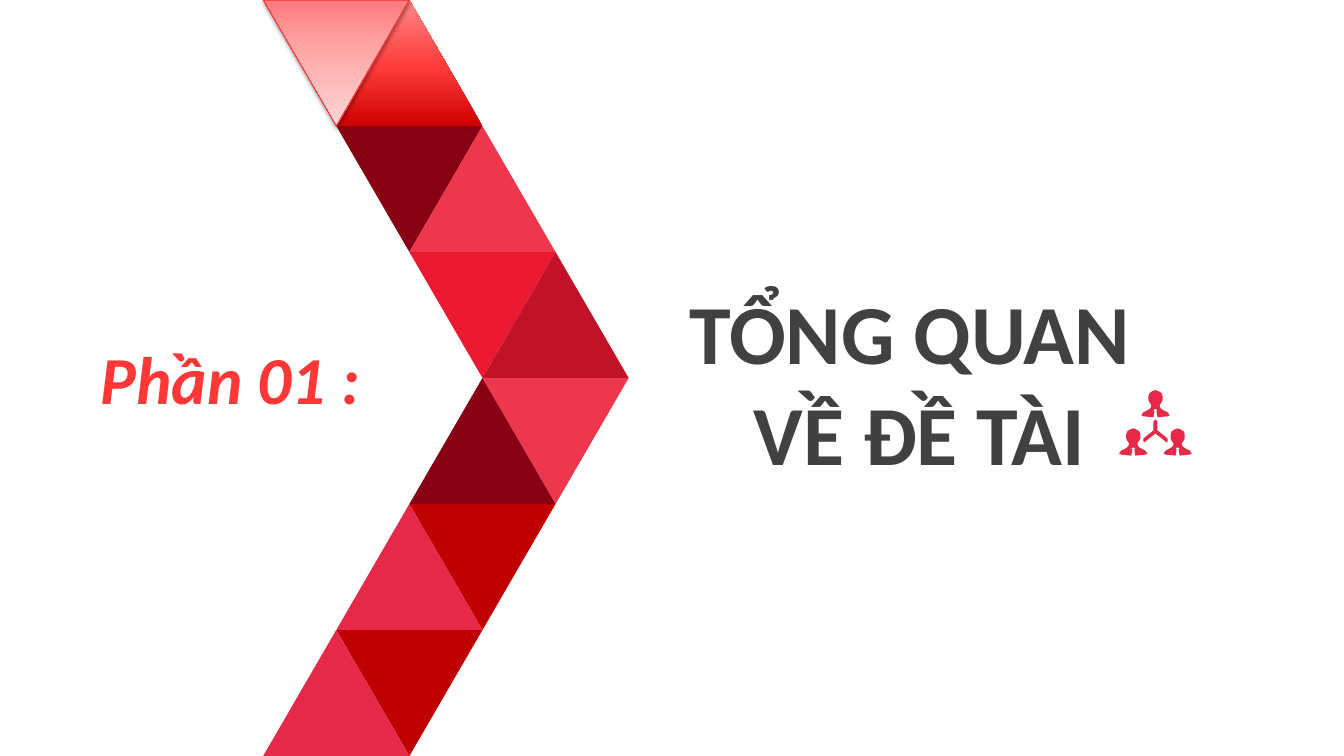
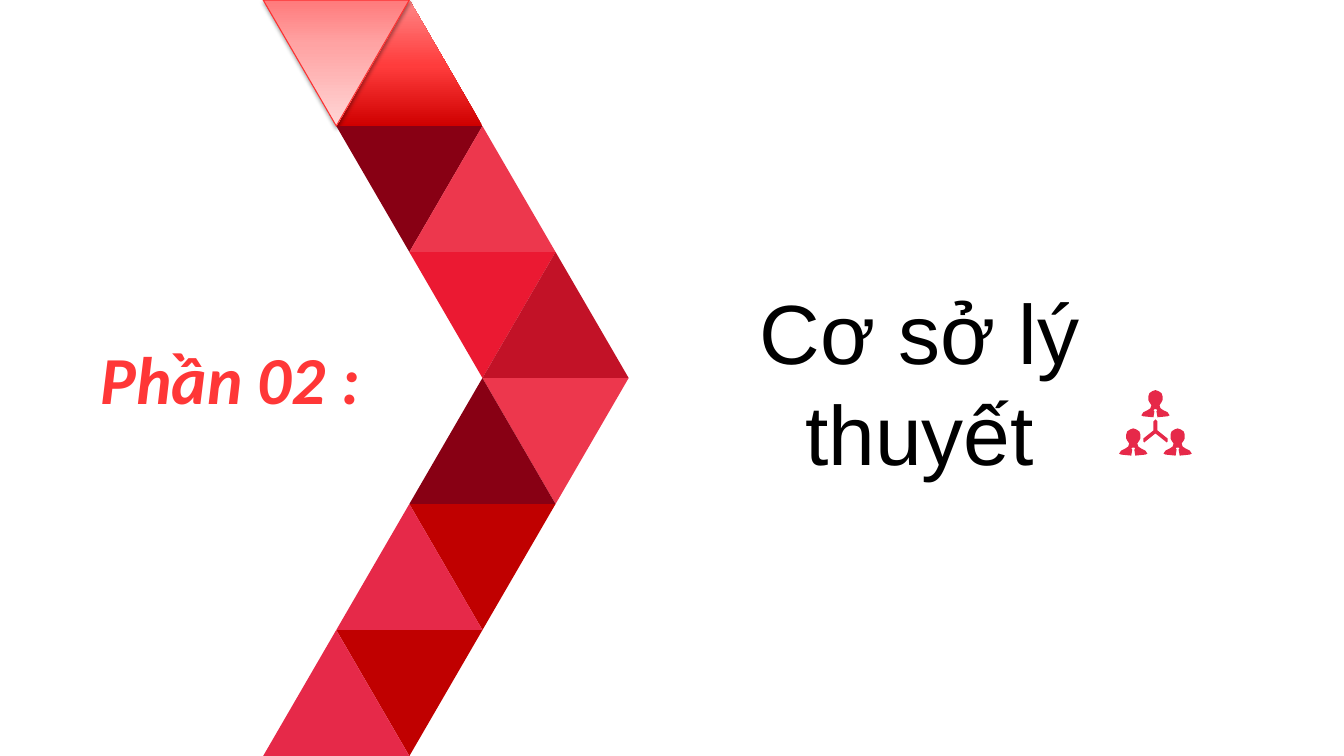
from dataclasses import dataclass

from lxml.etree import SubElement
from pptx import Presentation
from pptx.dml.color import RGBColor
from pptx.enum.shapes import MSO_SHAPE as Shape
from pptx.enum.text import MSO_ANCHOR as Anchor, MSO_AUTO_SIZE as AutoSize, PP_ALIGN as Align
from pptx.oxml.ns import qn
from pptx.util import Inches, Pt

CRIMSON = RGBColor(0xE6, 0x29, 0x49)
MAROON = RGBColor(0x88, 0x00, 0x14)
ROSE = RGBColor(0xED, 0x37, 0x4D)
SCARLET = RGBColor(0xEB, 0x19, 0x32)
RUBY = RGBColor(0xC2, 0x12, 0x27)
DARK_RED = RGBColor(0xC0, 0x00, 0x00)
EDGE_RED = RGBColor(0xFD, 0x30, 0x30)
LABEL_RED = RGBColor(0xFF, 0x37, 0x37)
CHARCOAL = RGBColor(0x41, 0x41, 0x41)
BLACK = RGBColor(0x00, 0x00, 0x00)

# Gradient stops: position in percent, colour
Stops = tuple[tuple[int, RGBColor], ...]
RED_FADE: Stops = (
    (0, RGBColor(0xCF, 0x00, 0x00)),
    (48, RGBColor(0xFF, 0x3C, 0x3C)),
    (100, RGBColor(0xFF, 0x87, 0x87)),
)
PINK_FADE: Stops = (
    (0, RGBColor(0xFF, 0x7A, 0x7B)),
    (35, RGBColor(0xFF, 0xA3, 0xA3)),
    (100, RGBColor(0xFF, 0xD6, 0xD6)),
)

TILE_WIDTH, TILE_HEIGHT = 1.45, 1.25
CHEVRON_LEFT = 2.61

Points = list[tuple[float, float]]
# Right halves of symmetric outlines, measured from the axis and the top
PERSON_HALF: Points = [
    (0, 0), (0.03, 0.01), (0.06, 0.03), (0.07, 0.06), (0.07, 0.1), (0.06, 0.12),
    (0.04, 0.15), (0.05, 0.18), (0.08, 0.2), (0.12, 0.22), (0.14, 0.25),
    (0.12, 0.26), (0.02, 0.27), (0.01, 0.21), (0.02, 0.2), (0.01, 0.19),
]
BRANCH_HALF: Points = [
    (0, 0), (0.02, 0.02), (0.02, 0.11), (0.12, 0.19), (0.12, 0.22),
    (0.11, 0.23), (0.1, 0.22), (0, 0.14),
]
ICON_AXIS, ICON_TOP = 11.46, 3.87
PERSON_DX, PERSON_DY, BRANCH_DY = 0.22, 0.38, 0.29


@dataclass(frozen=True)
class Tile:
    """A triangle of the chevron; step counts half widths from the left."""
    row: int
    step: int
    fill: RGBColor | Stops
    raised: bool = False

    @property
    def points_up(self) -> bool:
        return (self.row + self.step) % 2 == 1


@dataclass(frozen=True)
class Section:
    label: str
    title: tuple[str, ...]
    font: str
    color: RGBColor
    bold: bool


TILES = (
    Tile(0, 1, RED_FADE), Tile(0, 0, PINK_FADE, raised=True),
    Tile(1, 1, MAROON), Tile(1, 2, ROSE),
    Tile(2, 2, SCARLET), Tile(2, 3, RUBY),
    Tile(3, 3, ROSE), Tile(3, 2, MAROON),
    Tile(4, 2, DARK_RED), Tile(4, 1, CRIMSON),
    Tile(5, 1, DARK_RED), Tile(5, 0, CRIMSON),
)
SECTIONS = (
    Section("Phần 01 :", ("TỔNG QUAN ", "VỀ ĐỀ TÀI"), "Calibri", CHARCOAL, True),
    Section("Phần 02 :", ("Cơ sở lý thuyết",), "Arial", BLACK, False),
)


def write_text(frame, lines: tuple[str, ...], *, font: str, size: int, color: RGBColor,
               bold: bool = False, italic: bool = False, align=Align.LEFT) -> None:
    frame.word_wrap = True
    frame.auto_size = AutoSize.NONE
    frame.vertical_anchor = Anchor.TOP
    for index, line in enumerate(lines):
        paragraph = frame.add_paragraph() if index else frame.paragraphs[0]
        paragraph.alignment = align
        run = paragraph.add_run()
        run.text = line
        run.font.name, run.font.size = font, Pt(size)
        run.font.bold, run.font.italic = bold, italic
        run.font.color.rgb = color


def fill_gradient(shape, stops: Stops) -> None:
    """Fill from the base of the shape to its tip with any number of stops."""
    shape.fill.gradient()
    shape.fill.gradient_angle = 90
    stop_list = shape.fill._xPr.find(qn("a:gradFill")).find(qn("a:gsLst"))
    for old_stop in list(stop_list):
        stop_list.remove(old_stop)
    for position, color in stops:
        stop = SubElement(stop_list, qn("a:gs"), pos=str(position * 1000))
        SubElement(stop, qn("a:srgbClr"), val=str(color))


def add_drop_shadow(shape) -> None:
    effects = shape._element.spPr.find(qn("a:effectLst"))
    shadow = SubElement(effects, qn("a:outerShdw"), blurRad=str(Pt(3.1)),
                        dist=str(Pt(1.6)), dir="5400000", rotWithShape="0")
    color = SubElement(shadow, qn("a:srgbClr"), val=str(BLACK))
    SubElement(color, qn("a:alpha"), val="37000")


def add_tile(shapes, tile: Tile) -> None:
    triangle = shapes.add_shape(
        Shape.ISOSCELES_TRIANGLE,
        Inches(CHEVRON_LEFT + tile.step * TILE_WIDTH / 2), Inches(tile.row * TILE_HEIGHT),
        Inches(TILE_WIDTH), Inches(TILE_HEIGHT))
    triangle.rotation = 0 if tile.points_up else 180
    triangle.shadow.inherit = False
    if isinstance(tile.fill, RGBColor):
        triangle.fill.solid()
        triangle.fill.fore_color.rgb = tile.fill
    else:
        fill_gradient(triangle, tile.fill)
    if tile.raised:
        triangle.line.color.rgb = EDGE_RED
        triangle.line.width = Pt(0.75)
        add_drop_shadow(triangle)
    else:
        triangle.line.fill.background()


def mirrored(half: Points, axis: float, top: float) -> list[tuple[int, int]]:
    """Complete a symmetric outline and place it on the slide."""
    outline = half + [(-x, y) for x, y in reversed(half) if x]
    return [(Inches(axis + x), Inches(top + y)) for x, y in outline]


def add_team_icon(shapes) -> None:
    outlines = [
        mirrored(PERSON_HALF, ICON_AXIS + dx, ICON_TOP + dy)
        for dx, dy in ((0, 0), (-PERSON_DX, PERSON_DY), (PERSON_DX, PERSON_DY))
    ]
    outlines.append(mirrored(BRANCH_HALF, ICON_AXIS, ICON_TOP + BRANCH_DY))
    builder = shapes.build_freeform(*outlines[0][0])
    for index, outline in enumerate(outlines):
        if index:
            builder.move_to(*outline[0])
        builder.add_line_segments(outline[1:], close=True)
    icon = builder.convert_to_shape()
    icon.shadow.inherit = False
    icon.fill.solid()
    icon.fill.fore_color.rgb = CRIMSON
    icon.line.fill.background()


def add_section_slide(deck, section: Section) -> None:
    slide = deck.slides.add_slide(deck.slide_layouts.get_by_name("Title Only"))
    chevron = slide.shapes.add_group_shape()
    for tile in TILES:
        add_tile(chevron.shapes, tile)

    label = slide.shapes.add_textbox(Inches(0.9), Inches(3.3), Inches(4.12), Inches(0.9))
    write_text(label.text_frame, (section.label,), font="Calibri", size=48,
               color=LABEL_RED, bold=True, italic=True)

    title = slide.shapes.title
    title.left, title.top = Inches(6.42), Inches(2.73)
    title.width, title.height = Inches(5.4), Inches(2.12)
    write_text(title.text_frame, section.title, font=section.font, size=60,
               color=section.color, bold=section.bold, align=Align.CENTER)
    add_team_icon(slide.shapes)


def main() -> None:
    deck = Presentation()
    deck.slide_width, deck.slide_height = Inches(13.33), Inches(7.5)
    for section in SECTIONS:
        add_section_slide(deck, section)
    deck.save("out.pptx")


if __name__ == "__main__":
    main()
